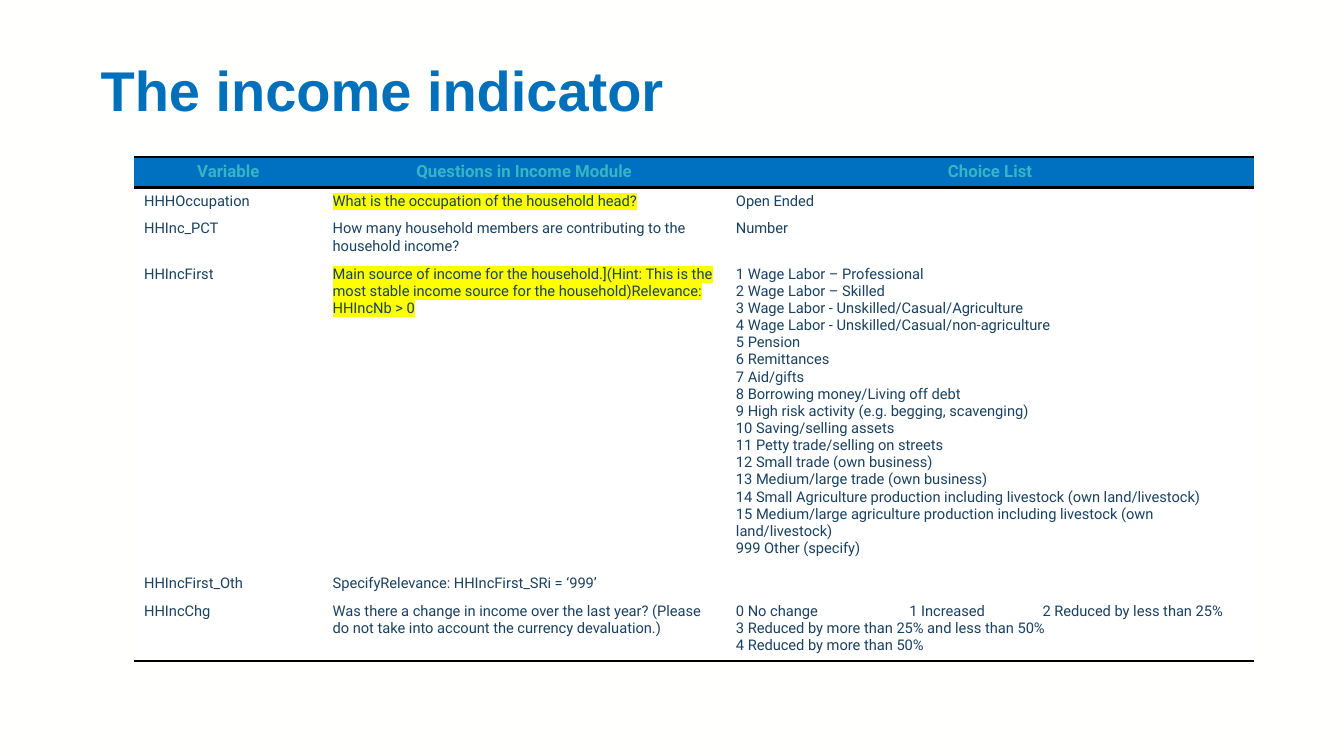
from lxml.etree import SubElement
from pptx import Presentation
from pptx.dml.color import RGBColor
from pptx.enum.text import MSO_ANCHOR, PP_ALIGN
from pptx.oxml.ns import qn
from pptx.util import Inches, Pt


def color(hex_string):
    return RGBColor.from_string(hex_string)


def write(frame, text, size=10.5, font="Roboto", ink="1A4161", bold=False,
          align=PP_ALIGN.LEFT, highlight=None, spacing=None, tabs=()):
    """Write each line of text as one paragraph."""
    for index, line in enumerate(text.split("\n")):
        paragraph = frame.add_paragraph() if index else frame.paragraphs[0]
        paragraph.alignment = align
        if spacing:
            paragraph.line_spacing = spacing
        if "\t" in line:
            tab_list = SubElement(paragraph._p.get_or_add_pPr(), qn("a:tabLst"))
            for position in tabs:
                SubElement(tab_list, qn("a:tab"), pos=str(Inches(position)), algn="l")
        if not line:
            # An empty cell keeps the height of a normal text line
            SubElement(paragraph._p, qn("a:endParaRPr"), sz=str(int(size * 100)))
            continue
        run = paragraph.add_run()
        run.text = line
        run.font.size = Pt(size)
        run.font.bold = bold
        run.font.color.rgb = color(ink)
        if highlight:
            mark = SubElement(run._r.get_or_add_rPr(), qn("a:highlight"))
            SubElement(mark, qn("a:srgbClr"), val=highlight)
        run.font.name = font


# Slide
presentation = Presentation()
presentation.slide_width = Inches(13.33)
presentation.slide_height = Inches(7.5)
slide = presentation.slides.add_slide(presentation.slide_layouts[6])
slide.background.fill.solid()
slide.background.fill.fore_color.rgb = color("FFFFFE")

# Title
title = slide.shapes.add_textbox(Inches(0.9), Inches(0.3), Inches(11.53), Inches(1.26))
title.text_frame.word_wrap = True
title.text_frame.vertical_anchor = MSO_ANCHOR.MIDDLE
write(title.text_frame, "The income indicator", size=40, font="Arial",
      ink="0070BA", bold=True, spacing=0.9)

# Table content
income_sources = """1 Wage Labor – Professional
2 Wage Labor – Skilled
3 Wage Labor - Unskilled/Casual/Agriculture
4 Wage Labor - Unskilled/Casual/non-agriculture
5 Pension
6 Remittances
7 Aid/gifts
8 Borrowing money/Living off debt
9 High risk activity (e.g. begging, scavenging)
10 Saving/selling assets
11 Petty trade/selling on streets
12 Small trade (own business)
13 Medium/large trade (own business)
14 Small Agriculture production including livestock (own land/livestock)
15 Medium/large agriculture production including livestock (own land/livestock)
999 Other (specify)"""
income_changes = """0 No change\t1 Increased\t2 Reduced by less than 25%
3 Reduced by more than 25% and less than 50%
4 Reduced by more than 50%"""
rows = [
    ("Variable", "Questions in Income Module", "Choice List"),
    ("HHHOccupation", "What is the occupation of the household head?", "Open Ended"),
    ("HHInc_PCT", "How many household members are contributing to the household income?",
     "Number"),
    ("HHIncFirst", "Main source of income for the household.](Hint: This is the most stable "
     "income source for the household)Relevance: HHIncNb > 0", income_sources),
    ("HHIncFirst_Oth", "SpecifyRelevance: HHIncFirst_SRi = ‘999’", ""),
    ("HHIncChg", "Was there a change in income over the last year? (Please do not take into "
     "account the currency devaluation.)", income_changes),
]
column_widths = [1.87, 4, 5.24]
row_heights = [0.3, 0.27, 0.44, 2.99, 0.27, 0.62]
highlighted_rows = (1, 3)
last_row = len(rows) - 1

# Table
table = slide.shapes.add_table(
    len(rows), len(column_widths), Inches(1.33), Inches(1.56),
    Inches(sum(column_widths)), Inches(sum(row_heights))).table
table.horz_banding = False
for column, width in zip(table.columns, column_widths):
    column.width = Inches(width)

for row_index, texts in enumerate(rows):
    table.rows[row_index].height = Inches(row_heights[row_index])
    is_header = row_index == 0
    ruled_sides = {"lnT": row_index in (0, 1), "lnB": row_index in (0, last_row)}
    for column_index, text in enumerate(texts):
        cell = table.cell(row_index, column_index)

        # Rules above and below the header and below the last row
        for side in ("lnL", "lnR", "lnT", "lnB"):
            ruled = ruled_sides.get(side, False)
            border = SubElement(cell._tc.get_or_add_tcPr(), qn(f"a:{side}"),
                                w=str(Pt(2) if ruled else 0))
            line_fill = SubElement(border, qn("a:solidFill" if ruled else "a:noFill"))
            if ruled:
                SubElement(line_fill, qn("a:srgbClr"), val="000000")

        cell.fill.solid()
        cell.fill.fore_color.rgb = color("0070C0" if is_header else "FFFFFF")
        if is_header:
            write(cell.text_frame, text, size=12, ink="36B5C5", bold=True,
                  align=PP_ALIGN.CENTER)
        else:
            marked = column_index == 1 and row_index in highlighted_rows
            write(cell.text_frame, text, highlight="FFFF00" if marked else None,
                  tabs=(1.72, 3.04))

presentation.save("out.pptx")
